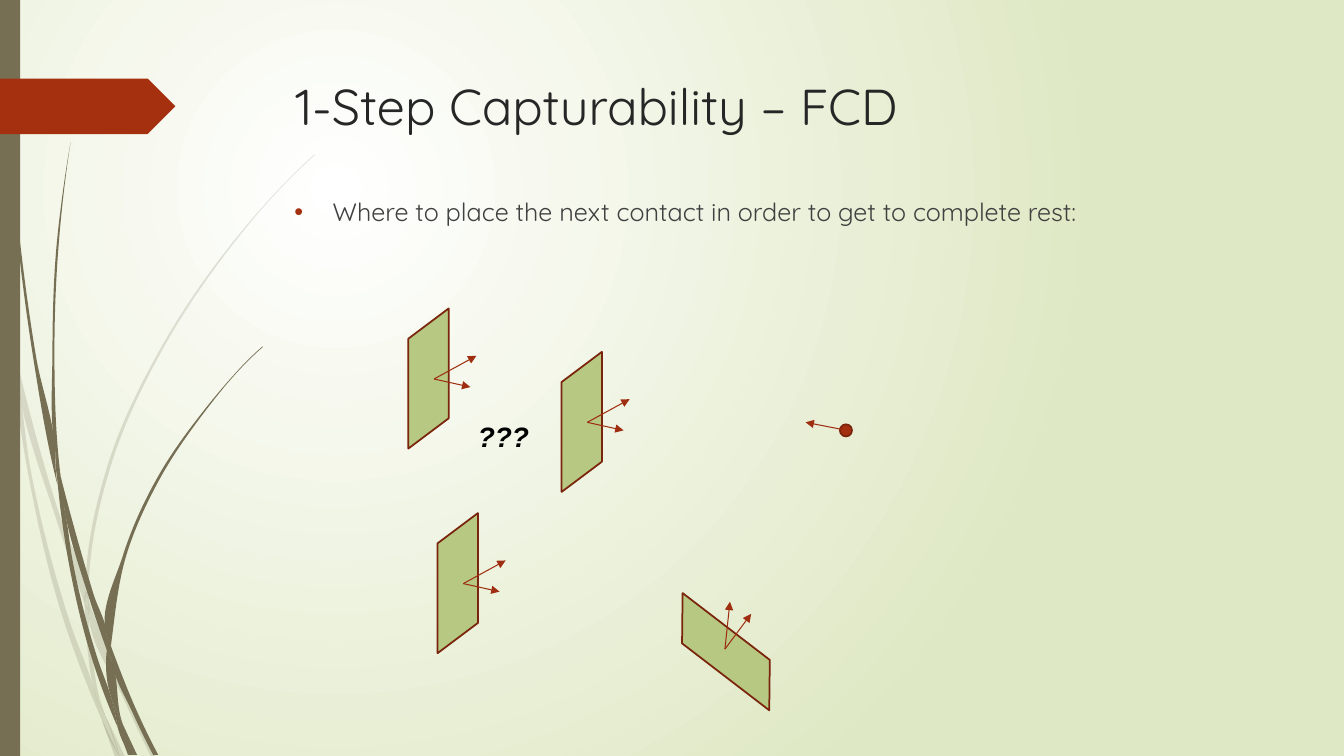
from dataclasses import dataclass

from lxml import etree
from pptx import Presentation
from pptx.dml.color import RGBColor
from pptx.enum.shapes import MSO_CONNECTOR, MSO_SHAPE
from pptx.enum.text import MSO_ANCHOR, MSO_AUTO_SIZE, PP_ALIGN
from pptx.oxml.ns import qn
from pptx.util import Inches, Pt

STRAIGHT = MSO_CONNECTOR.STRAIGHT
RECTANGLE, OVAL = MSO_SHAPE.RECTANGLE, MSO_SHAPE.OVAL
PENTAGON, PARALLELOGRAM = MSO_SHAPE.PENTAGON, MSO_SHAPE.PARALLELOGRAM
TOP, LEFT, NO_FIT = MSO_ANCHOR.TOP, PP_ALIGN.LEFT, MSO_AUTO_SIZE.NONE

COLORS = {
    "centre": "FFFFFF", "edge": "DFE8C4", "stem": "766F54", "accent": "A53010",
    "outline": "7A240C", "arrow": "9E2E0F", "plate": "B6C882",
    "title": "262626", "body": "404040", "black": "000000",
}
FONT = "Quicksand"

# Grid of 1333 columns by 750 rows
WIDTH, HEIGHT = Inches(13.33), Inches(7.5)
COLUMN, ROW = WIDTH / 1333, HEIGHT / 750

Point = tuple[float, float]
Box = tuple[float, float, float, float]
Outline = tuple[Point, ...]


@dataclass(frozen=True)
class Grass:
    """A tuft of curved blades, each a closed outline on the grid."""
    opacity: int
    blades: tuple[Outline, ...]


@dataclass(frozen=True)
class Contact:
    """A contact plate with its friction cone, relative to the centre."""
    centre: Point
    rotation: float = 90
    origin: Point = (5.5, 0.5)
    tips: tuple[Point, Point] = ((47.5, -22.5), (41.5, 8.5))


PALE_GRASS = Grass(20, (
    ((11, 350), (9, 322), (0, 282), (0, 299), (10, 344)),
    ((58, 522), (84, 599), (85, 586), (62, 520), (14, 345), (17, 376)),
    ((92, 607), (88, 596), (88, 610), (123, 694), (150, 751), (155, 751), (127, 692)),
    ((119, 751), (124, 751), (105, 711)),
    ((93, 683), (70, 619), (31, 469), (17, 376), (11, 350),
     (28, 470), (65, 621), (92, 693), (101, 714), (99, 707)),
    ((84, 599), (87, 646), (93, 683), (96, 692), (105, 711),
     (103, 706), (91, 646), (88, 610), (88, 608)),
    ((88, 584), (110, 462), (160, 349), (229, 245), (268, 198), (290, 175), (312, 154), (312, 153),
     (289, 175), (268, 197), (228, 244), (158, 348), (107, 461), (85, 584), (85, 586), (88, 596)),
    ((101, 714), (114, 751), (119, 751)),
    ((88, 608), (88, 610), (88, 596), (85, 586), (84, 599)),
    ((96, 692), (93, 683), (99, 707), (101, 714), (119, 751), (105, 711)),
))
DARK_GRASS = Grass(100, (
    ((7, 110), (17, 233), (33, 355), (56, 477), (57, 481), (55, 457), (55, 453), (36, 355),
     (19, 232), (8, 109), (5, 48), (4, 0), (3, 0), (4, 48)),
    ((88, 592), (106, 645), (106, 633), (106, 631), (93, 590), (60, 472), (64, 505)),
    ((113, 649), (110, 641), (111, 656), (132, 708), (152, 749), (157, 749), (136, 706)),
    ((110, 691), (98, 657), (72, 556), (64, 505), (57, 477),
     (68, 557), (93, 659), (111, 708), (117, 722), (116, 717)),
    ((60, 472), (58, 453), (54, 349), (58, 245), (63, 193), (70, 141),
     (62, 193), (56, 245), (52, 349), (55, 449)),
    ((133, 749), (136, 749), (122, 719)),
    ((57, 477), (64, 505), (60, 472), (55, 449), (55, 453)),
    ((111, 633), (125, 552), (158, 476), (205, 406), (231, 374), (245, 359), (261, 344), (260, 344),
     (245, 358), (231, 373), (204, 405), (156, 474), (122, 551), (106, 631), (110, 641)),
    ((117, 722), (127, 749), (131, 749)),
    ((106, 645), (110, 691), (116, 706), (122, 719), (121, 716), (111, 656), (109, 651)),
    ((106, 645), (109, 651), (111, 656), (110, 641), (106, 631), (106, 633)),
    ((116, 706), (110, 691), (116, 717), (117, 722), (130, 749), (133, 749), (122, 719)),
))
CONTACTS = (
    Contact((720, 646.5), 37.5, (-1, -2.5), ((4, -49.5), (25, -37.5))),
    Contact((577, 418.5)),
    Contact((454, 578.5)),
    Contact((425, 375.5)),
)


def color(name: str) -> RGBColor:
    return RGBColor.from_string(COLORS[name])


def place(box: Box) -> tuple[int, int, int, int]:
    left, top, width, height = box
    return (round(left * COLUMN), round(top * ROW), round(width * COLUMN), round(height * ROW))


def curve_sides(outline: list[complex]) -> list[tuple[complex, complex, complex]]:
    """Cubic sides through a closed outline, smooth except at sharp corners."""
    steps = [end - start for start, end in zip(outline, outline[1:] + outline[:1])]
    units = [step / abs(step) for step in steps]
    tangents = []
    for i, unit in enumerate(units):
        before, after = abs(steps[i - 1]), abs(steps[i])
        blend = (units[i - 1] * after + unit * before) / (before + after)
        is_smooth = (units[i - 1] * unit.conjugate()).real > 0.8
        tangents.append(blend if is_smooth else None)
    sides = []
    for i, (start, step, unit) in enumerate(zip(outline, steps, units)):
        leave, arrive = tangents[i], tangents[(i + 1) % len(outline)]
        first = leave or (2 * unit - arrive if arrive else unit)
        last = arrive or (2 * unit - leave if leave else unit)
        reach, end = abs(step) / 3, start + step
        sides.append((start + first * reach, end - last * reach, end))
    return sides


def add_grass(slide, grass: Grass) -> None:
    group = slide.shapes.add_group_shape()
    for blade in grass.blades:
        outline = [complex(x * COLUMN, y * ROW) for x, y in blade]
        corners = [(point.real, point.imag) for point in outline]
        builder = group.shapes.build_freeform(*corners[0])
        builder.add_line_segments(corners[1:] + corners[:1], close=True)
        shape = builder.convert_to_shape()
        corner = complex(shape.left, shape.top)
        lines = shape.element.findall(".//" + qn("a:lnTo"))
        for line, side in zip(lines, curve_sides(outline)):
            curve = etree.Element(qn("a:cubicBezTo"))
            for point in side:
                local = point - corner
                etree.SubElement(curve, qn("a:pt"), x=str(round(local.real)), y=str(round(local.imag)))
            line.getparent().replace(line, curve)
        paint(shape, "stem")
        if grass.opacity < 100:
            fill_color = shape.element.spPr.find(".//" + qn("a:srgbClr"))
            etree.SubElement(fill_color, qn("a:alpha"), val=str(grass.opacity * 1000))


def paint(shape, fill: str, outline: str = "") -> None:
    shape.shadow.inherit = False
    shape.fill.solid()
    shape.fill.fore_color.rgb = color(fill)
    if outline:
        shape.line.color.rgb = color(outline)
        shape.line.width = Pt(1.25)
    else:
        shape.line.fill.background()


def add_filled(slide, kind: MSO_SHAPE, box: Box, fill: str, outline: str = ""):
    shape = slide.shapes.add_shape(kind, *place(box))
    paint(shape, fill, outline)
    return shape


def add_arrow(slide, start: Point, end: Point) -> None:
    arrow = slide.shapes.add_connector(STRAIGHT, *place((*start, *end)))
    arrow.line.color.rgb = color("arrow")
    arrow.line.width = Pt(0.75)
    line = arrow.element.spPr.find(qn("a:ln"))
    etree.SubElement(line, qn("a:tailEnd"), type="triangle")
    etree.SubElement(arrow.element.spPr, qn("a:effectLst"))


def add_contact(slide, contact: Contact) -> None:
    x, y = contact.centre
    plate = add_filled(slide, PARALLELOGRAM, (x - 69.5, y - 20, 139, 40), "plate", "outline")
    plate.adjustments[0] = 0.75
    plate.rotation = contact.rotation
    plate.element.spPr.find(qn("a:xfrm")).set("flipV", "1")
    origin = (x + contact.origin[0], y + contact.origin[1])
    for right, down in contact.tips:
        add_arrow(slide, origin, (x + right, y + down))


def write(shape, box: Box, text: str, size: int, ink: str, font: str = FONT):
    """Place a text shape and fill it with one run."""
    shape.left, shape.top, shape.width, shape.height = place(box)
    frame = shape.text_frame
    frame.word_wrap, frame.auto_size, frame.vertical_anchor = True, NO_FIT, TOP
    paragraph = frame.paragraphs[0]
    paragraph.alignment, paragraph.space_before = LEFT, Pt(0)
    run = paragraph.add_run()
    run.text = text
    run.font.name, run.font.size, run.font.color.rgb = font, Pt(size), color(ink)
    return paragraph


def set_background(slide) -> None:
    fill = slide.background.fill
    fill.gradient()
    for stop, name in zip(fill.gradient_stops, ("centre", "edge")):
        stop.color.rgb = color(name)
    gradient = slide.element.find(".//" + qn("a:gradFill"))
    gradient.remove(gradient.find(qn("a:lin")))
    circle = etree.SubElement(gradient, qn("a:path"), path="circle")
    etree.SubElement(circle, qn("a:fillToRect"), l="50000", t="50000", r="100000", b="100000")


def main() -> None:
    presentation = Presentation()
    presentation.slide_width, presentation.slide_height = WIDTH, HEIGHT
    slide = presentation.slides.add_slide(presentation.slide_layouts[1])
    set_background(slide)

    # Grass, side bar and page marker
    for grass in (PALE_GRASS, DARK_GRASS):
        add_grass(slide, grass)
    add_filled(slide, RECTANGLE, (0, 0, 20, 750), "stem")
    add_filled(slide, PENTAGON, (0, 78, 174, 55), "accent")

    # Title and bullet, in front of the decoration
    title, body = slide.placeholders
    for placeholder in (title, body):
        placeholder.element.getparent().append(placeholder.element)
    write(title, (283, 69, 975, 140), "1-Step Capturability – FCD", 36, "title")
    bullet = write(body, (282, 190, 975, 457),
                   "Where to place the next contact in order to get to complete rest:", 18, "body")
    properties = bullet._p.get_or_add_pPr()
    properties.set("marL", str(Inches(0.38)))
    properties.set("indent", str(-Inches(0.38)))
    bullet_color = etree.SubElement(properties, qn("a:buClr"))
    etree.SubElement(bullet_color, qn("a:srgbClr"), val=COLORS["accent"])
    etree.SubElement(properties, qn("a:buFont"), typeface="Arial")
    etree.SubElement(properties, qn("a:buChar"), char="•")

    # Moving mass and candidate contacts
    add_filled(slide, OVAL, (833, 421, 12, 12), "accent", "outline")
    add_arrow(slide, (840, 427), (799, 419))
    for contact in CONTACTS:
        add_contact(slide, contact)

    # Open question
    question = slide.shapes.add_textbox(0, 0, 0, 0)
    paragraph = write(question, (464, 411, 78, 44), "???", 20, "black", "Arial")
    paragraph.runs[0].font.bold = paragraph.runs[0].font.italic = True

    presentation.save("out.pptx")


if __name__ == "__main__":
    main()
